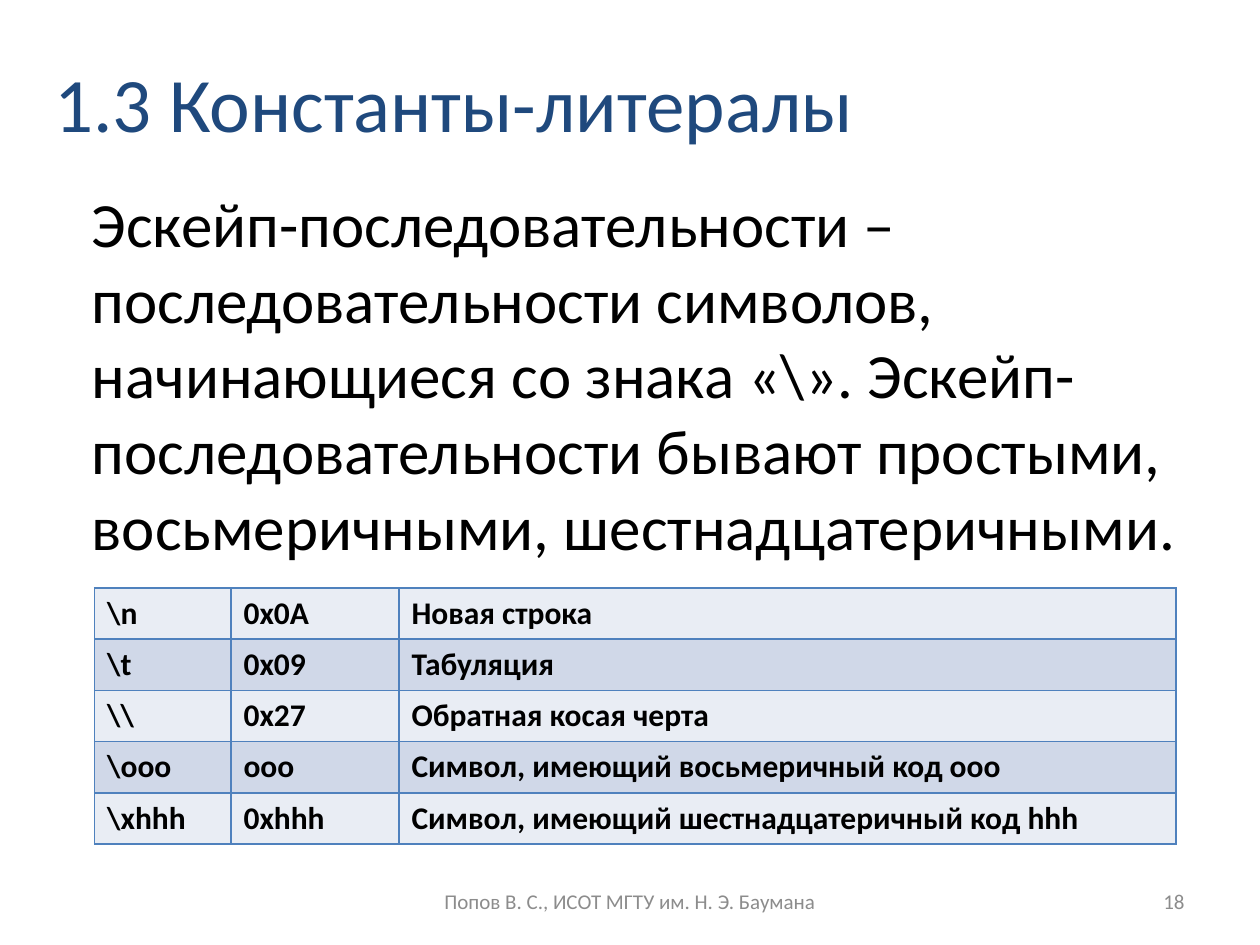
from lxml import etree
from pptx import Presentation
from pptx.dml.color import RGBColor
from pptx.enum.text import MSO_ANCHOR, PP_ALIGN
from pptx.oxml.ns import qn
from pptx.util import Inches, Pt

LEFT, CENTER, RIGHT = PP_ALIGN.LEFT, PP_ALIGN.CENTER, PP_ALIGN.RIGHT
TOP, MIDDLE = MSO_ANCHOR.TOP, MSO_ANCHOR.MIDDLE
FONT = "Calibri"
COLORS = {
    "title": "1F497D",
    "text": "000000",
    "footer": "8C8C8C",
    "border": "4F81BD",
    "odd_row": "E9EDF4",
    "even_row": "D0D8E8",
}
UNIT = Inches(10) // 120
TITLE_BOX = (4, 0, 98, 19.3)
BODY_BOX = (3, 17, 112, 37.5)
TABLE_BOX = (9, 56, 103, 24.4)
FOOTER_BOX = (41, 83.4, 38, 4.8)
NUMBER_BOX = (86, 83.4, 28, 4.8)
COLUMN_UNITS = (13, 16, 74)
ESCAPES = [
    ("\\n", "0x0A", "Новая строка"),
    ("\\t", "0x09", "Табуляция"),
    ("\\\\", "0x27", "Обратная косая черта"),
    ("\\ooo", "ooo", "Символ, имеющий восьмеричный код ooo"),
    ("\\xhhh", "0xhhh", "Символ, имеющий шестнадцатеричный код hhh"),
]


def grid(box):
    """Convert grid columns and rows to slide lengths."""
    return [round(value * UNIT) for value in box]


def add_run(paragraph, text, size, color, bold=False):
    """Add one formatted run to a paragraph."""
    run = paragraph.add_run()
    run.text = text
    run.font.name = FONT
    run.font.size = Pt(size)
    run.font.bold = bold
    run.font.color.rgb = RGBColor.from_string(COLORS[color])


def add_text(slide, box, text, size, color, align=LEFT, anchor=MIDDLE):
    """Place a wrapped text box and return its paragraph."""
    frame = slide.shapes.add_textbox(*grid(box)).text_frame
    frame.word_wrap = True
    frame.vertical_anchor = anchor
    paragraph = frame.paragraphs[0]
    paragraph.alignment = align
    add_run(paragraph, text, size, color)
    return paragraph


def add_title(slide, box):
    """Place the section title."""
    add_text(slide, box, "1.3 Константы-литералы", 44, "title")


def add_body(slide, box):
    """Place the indented definition."""
    paragraph = add_text(
        slide, box,
        "Эскейп-последовательности – последовательности символов, "
        "начинающиеся со знака «\\». Эскейп-последовательности бывают "
        "простыми, восьмеричными, шестнадцатеричными.",
        36, "text", anchor=TOP)
    properties = paragraph._p.get_or_add_pPr()
    properties.set("marL", str(Inches(0.38)))
    properties.set("indent", "0")


def add_borders(cell):
    """Draw a thin line on each side of a cell."""
    properties = cell._tc.get_or_add_tcPr()
    for position, side in enumerate(("a:lnL", "a:lnR", "a:lnT", "a:lnB")):
        line = etree.Element(qn(side), w=str(Pt(1)))
        fill = etree.SubElement(line, qn("a:solidFill"))
        etree.SubElement(fill, qn("a:srgbClr"), val=COLORS["border"])
        properties.insert(position, line)


def add_escape_table(slide, box):
    """Place the banded table of escape sequences."""
    table = slide.shapes.add_table(
        len(ESCAPES), len(COLUMN_UNITS), *grid(box)).table
    table.first_row = False
    table.horz_banding = False
    for column, width in zip(table.columns, grid(COLUMN_UNITS)):
        column.width = width
    for row_index, values in enumerate(ESCAPES):
        band = "even_row" if row_index % 2 else "odd_row"
        for column_index, value in enumerate(values):
            cell = table.cell(row_index, column_index)
            cell.fill.solid()
            cell.fill.fore_color.rgb = RGBColor.from_string(COLORS[band])
            add_run(cell.text_frame.paragraphs[0], value, 18, "text", True)
            add_borders(cell)


def add_footer(slide, footer_box, number_box):
    """Place the author line and the slide number."""
    add_text(slide, number_box, "18", 12, "footer", RIGHT)
    add_text(slide, footer_box, "Попов В. С., ИСОТ МГТУ им. Н. Э. Баумана",
             12, "footer", CENTER)


def main():
    """Build and save the presentation."""
    presentation = Presentation()
    presentation.slide_width, presentation.slide_height = grid((120, 90))
    slide = presentation.slides.add_slide(presentation.slide_layouts[6])
    add_title(slide, TITLE_BOX)
    add_footer(slide, FOOTER_BOX, NUMBER_BOX)
    add_body(slide, BODY_BOX)
    add_escape_table(slide, TABLE_BOX)
    presentation.save("out.pptx")


if __name__ == "__main__":
    main()
